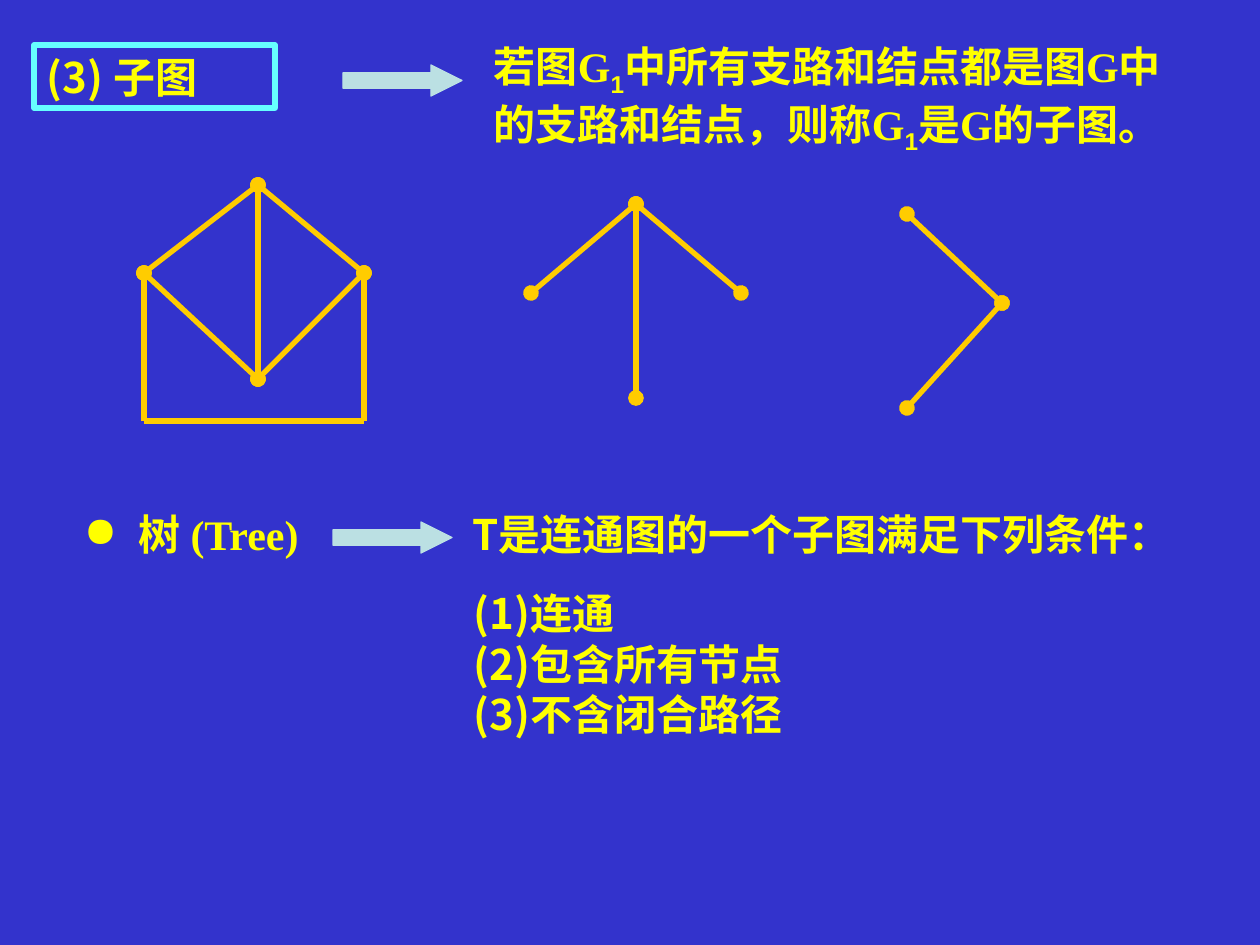
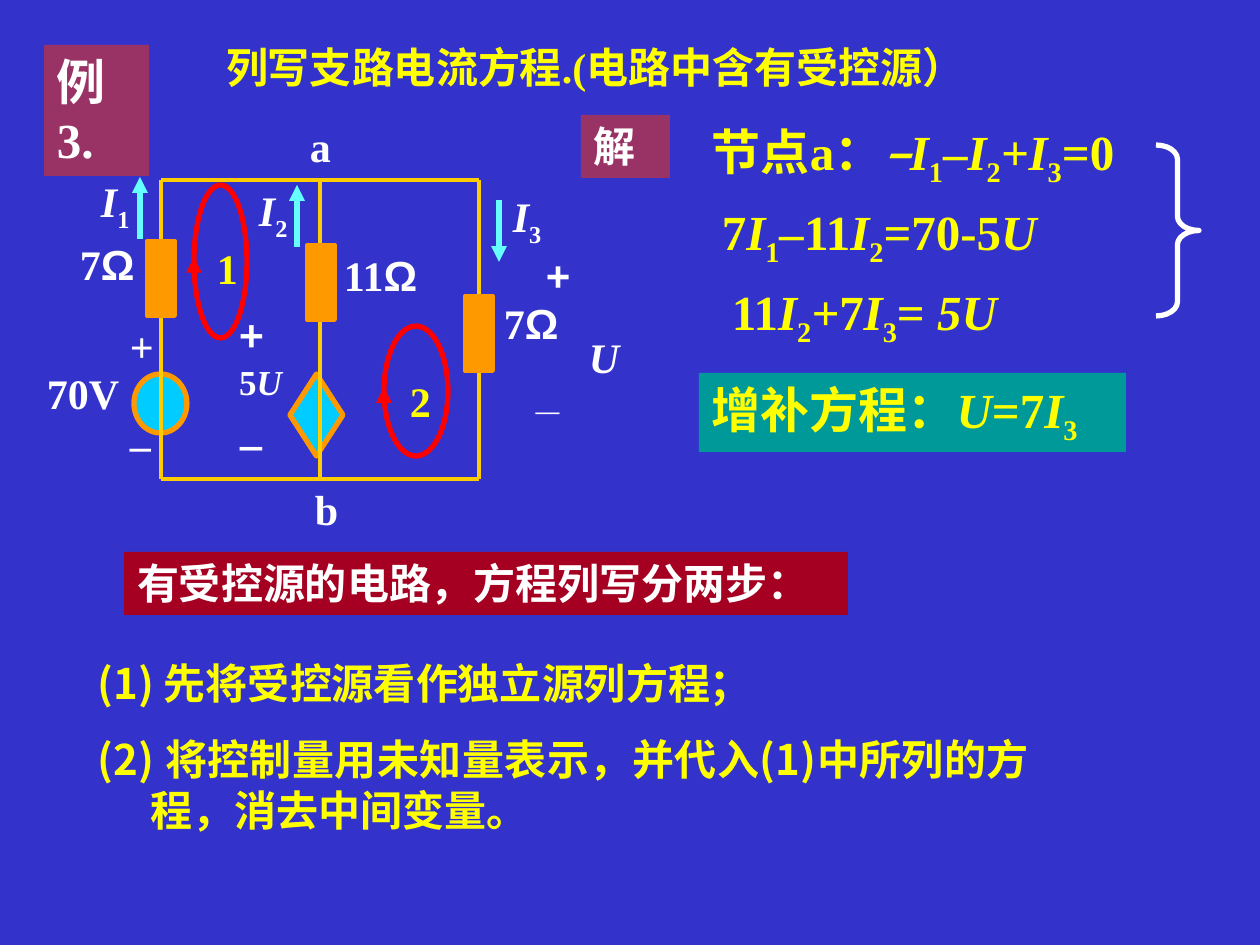
from itertools import groupby

from lxml.etree import SubElement
from pptx import Presentation
from pptx.dml.color import RGBColor
from pptx.enum.shapes import MSO_CONNECTOR, MSO_SHAPE as SHAPE
from pptx.enum.text import MSO_ANCHOR, MSO_AUTO_SIZE, PP_ALIGN as ALIGN
from pptx.oxml.ns import qn
from pptx.util import Emu, Pt

EMU_PER_PX = 914400 / 126
SLIDE_SIZE = (1260, 945)
MARGINS = (13, 6)

BLUE = RGBColor(0x33, 0x33, 0xCC)
YELLOW = RGBColor(0xFF, 0xFF, 0x00)
WHITE = RGBColor(0xFF, 0xFF, 0xFF)
GOLD = RGBColor(0xFF, 0xCC, 0x00)
ORANGE = RGBColor(0xFF, 0x99, 0x00)
CYAN = RGBColor(0x66, 0xFF, 0xFF)
SOURCE_CYAN = RGBColor(0x00, 0xCC, 0xFF)
PALE = RGBColor(0xBB, 0xE0, 0xE3)
PLUM = RGBColor(0x99, 0x33, 0x66)
TEAL = RGBColor(0x00, 0x99, 0x99)
CRIMSON = RGBColor(0xA5, 0x00, 0x21)
RED = RGBColor(0xFF, 0x00, 0x00)

TIMES, ARIAL, CJK = "Times New Roman", "Arial", "Noto Sans CJK SC"
SWITCHED_FONT = {TIMES: ARIAL, ARIAL: TIMES}


def px(value):
    return Emu(round(value * EMU_PER_PX))


def place(shape, box):
    shape.left, shape.top, shape.width, shape.height = map(px, box)


def styled_characters(text):
    """Read the markup: *italic*, ~switched font~ and _digit for a subscript."""
    italic = switched = subscript = False
    for character, following in zip(text, text[1:] + " "):
        if character == "*":
            italic = not italic
        elif character == "~":
            switched = not switched
        elif character == "_" and following.isdigit():
            subscript = True
        else:
            yield character, (italic, switched, subscript)
            subscript = False


def write_paragraph(paragraph, text, size=24, font=TIMES, color=YELLOW, align=ALIGN.LEFT,
                    bullet=None, hanging=0, space_before=0, line_spacing=1.0):
    properties = paragraph._p.get_or_add_pPr()
    if hanging:
        properties.set("marL", str(px(hanging)))
        properties.set("indent", str(-px(hanging)))
    if bullet:
        SubElement(properties, qn("a:buChar")).set("char", bullet)
    paragraph.alignment = align
    paragraph.space_before = Pt(space_before)
    paragraph.line_spacing = line_spacing
    for style, group in groupby(styled_characters(text), key=lambda item: item[1]):
        italic, switched, subscript = style
        run = paragraph.add_run()
        run.text = "".join(character for character, _ in group)
        run.font.size = Pt(size)
        run.font.bold = True
        run.font.italic = italic
        run.font.color.rgb = color
        run.font.name = SWITCHED_FONT[font] if switched else font
        run_properties = run._r.get_or_add_rPr()
        SubElement(run_properties, qn("a:ea")).set("typeface", CJK)
        if subscript:
            run_properties.set("baseline", "-25000")


def write_text(shape, *lines, **text_format):
    """Each line is a string, or a string with its own format on top of the shared one."""
    frame = shape.text_frame
    frame.word_wrap = True
    frame.auto_size = MSO_AUTO_SIZE.NONE
    frame.vertical_anchor = MSO_ANCHOR.TOP
    frame.margin_left = frame.margin_right = px(MARGINS[0])
    frame.margin_top = frame.margin_bottom = px(MARGINS[1])
    for index, line in enumerate(lines):
        text, own_format = (line, {}) if isinstance(line, str) else line
        paragraph = frame.add_paragraph() if index else frame.paragraphs[0]
        write_paragraph(paragraph, text, **{**text_format, **own_format})


def add_text(slide, box, *lines, **text_format):
    write_text(slide.shapes.add_textbox(*map(px, box)), *lines, **text_format)


def add_shape(slide, kind, box, fill=None, line=None, width=3):
    shape = slide.shapes.add_shape(kind, *map(px, box))
    shape.shadow.inherit = False
    if fill is None:
        shape.fill.background()
    else:
        shape.fill.solid()
        shape.fill.fore_color.rgb = fill
    if line is None:
        shape.line.fill.background()
    else:
        shape.line.color.rgb = line
        shape.line.width = Pt(width)
    return shape


def add_banner(slide, box, text, fill, **text_format):
    write_text(add_shape(slide, SHAPE.RECTANGLE, box, fill), text, **text_format)


def add_line(slide, start, end, color=GOLD, width=3, head=None, tail=None):
    connector = slide.shapes.add_connector(MSO_CONNECTOR.STRAIGHT, *map(px, start + end))
    connector.line.color.rgb = color
    connector.line.width = Pt(width)
    outline = connector.line._get_or_add_ln()
    for tag, ending in (("a:headEnd", head), ("a:tailEnd", tail)):
        if ending:
            SubElement(outline, qn(tag)).set("type", ending)
    SubElement(connector._element.spPr, qn("a:effectLst"))


def add_arrow(slide, start, end, color):
    add_line(slide, start, end, color, tail="triangle")


def add_block_arrow(slide, left, top):
    arrow = add_shape(slide, SHAPE.RIGHT_ARROW, (left, top, 119, 31), PALE, PALE, 0.75)
    arrow.adjustments[0], arrow.adjustments[1] = 0.5, 1


def add_graph(slide, edges, corners=()):
    """Draw edges with a dot at every end that is not a plain corner."""
    for edge in edges:
        head, tail = (None if point in corners else "oval" for point in edge)
        add_line(slide, *edge, head=head, tail=tail)


def add_loop(slide, box, number, number_box, arrow_top):
    left = box[0]
    add_shape(slide, SHAPE.OVAL, box, line=RED)
    add_text(slide, number_box, number)
    add_arrow(slide, (left, arrow_top + 8), (left, arrow_top), RED)


def add_slide(presentation, title, box):
    slide = presentation.slides.add_slide(presentation.slide_layouts[5])
    place(slide.shapes.title, box)
    write_text(slide.shapes.title, title)
    return slide


def build_subgraph_slide(presentation):
    slide = add_slide(presentation, "(3) 子图", (34, 45, 241, 63))
    title = slide.shapes.title
    title.line.color.rgb = CYAN
    title.line.width = Pt(3)
    for run in title.text_frame.paragraphs[0].runs:
        run.font.name = CJK

    top, left, right, bottom = (258, 185), (144, 273), (364, 273), (258, 379)
    corners = low_left, low_right = (144, 421), (364, 421)
    add_graph(slide, [(top, left), (top, bottom), (left, bottom), (top, right),
                      (right, bottom), (left, low_left), (low_left, low_right),
                      (right, low_right)], corners)
    hub = (636, 204)
    add_graph(slide, [(hub, leaf) for leaf in ((636, 398), (531, 293), (741, 293))])
    joint = (1002, 303)
    add_graph(slide, [((907, 214), joint), (joint, (907, 408))])

    add_block_arrow(slide, 343, 65)
    add_text(slide, (481, 35, 714, 178),
             "若图~G~_1中所有支路和结点都是图~G~中的支路和结点，则称~G~_1是~G~的子图。",
             font=ARIAL)
    add_text(slide, (71, 503, 270, 63), "树 (Tree)", bullet="●", hanging=55)
    add_block_arrow(slide, 333, 522)
    add_text(slide, (451, 503, 741, 63), "T是连通图的一个子图满足下列条件：",
             font=CJK, align=ALIGN.CENTER)
    add_text(slide, (461, 582, 596, 164), "(1)连通", "(2)包含所有节点", "(3)不含闭合路径",
             font=CJK)


def draw_circuit(slide):
    left, middle, right, top, bottom = 161, 320, 479, 180, 479
    add_shape(slide, SHAPE.DIAMOND, (290, 374, 53, 82), SOURCE_CYAN, ORANGE)
    add_shape(slide, SHAPE.OVAL, (134, 374, 53, 59), SOURCE_CYAN, ORANGE)
    add_loop(slide, (194, 185, 53, 153), "1", (204, 237, 37, 63), 257)
    add_loop(slide, (384, 326, 64, 130), "2", (397, 370, 44, 63), 387)

    for x in (left, middle, right):
        add_line(slide, (x, bottom), (x, top), width=2.25)
    for y in (top, bottom):
        add_line(slide, (left, y), (right, y), width=2.25)
    for x, y in ((left, 241), (middle + 1, 245), (right, 296)):
        add_shape(slide, SHAPE.RECTANGLE, (x - 14, y, 28, 75), ORANGE, ORANGE, 2.25)
    for x, start, end in ((140, 239, 177), (297, 247, 185), (499, 200, 262)):
        add_arrow(slide, (x, start), (x, end), CYAN)

    labels = [
        ("a", 297, 115, 46), ("b", 302, 478, 48),
        ("70V", 34, 362, 127), ("+", 117, 315, 50), ("–", 117, 413, 52),
        ("*I*_1", 88, 170, 66), ("*I*_2", 246, 179, 66), ("*I*_3", 500, 185, 87),
        ("7~Ω~", 67, 233, 87), ("11~Ω~", 331, 244, 127), ("7~Ω~", 491, 292, 87),
        ("~+~", 533, 244, 74), ("*U*", 576, 326, 74), ("~_~", 523, 362, 74),
    ]
    for text, x, y, width in labels:
        add_text(slide, (x, y, width, 63), text, color=WHITE)
    add_text(slide, (226, 304, 84, 156), "+", ("5*U*", {"size": 20, "font": TIMES}), "_",
             font=CJK, color=WHITE)


def build_example_slide(presentation):
    slide = add_slide(presentation, "列写支路电流方程.(电路中含有受控源）",
                      (213, 35, 843, 63))
    add_banner(slide, (44, 45, 105, 131), "例3.", PLUM, size=28, color=WHITE)
    add_banner(slide, (581, 115, 89, 63), "解", PLUM, color=WHITE)

    equations = [
        ("节点a：*–I*_1–*I*_2*+I*_3=0", 699, 115, 494),
        ("7*I*_1*–*11*I*_2=70-5*U*", 709, 195, 367),
        ("11*I*_2*+*7*I*_3=* 5U*", 719, 275, 427),
    ]
    for text, x, y, width in equations:
        add_text(slide, (x, y, width, 79), text, size=28)
    brace = add_shape(slide, SHAPE.RIGHT_BRACE, (1156, 145, 43, 171), line=WHITE)
    brace.adjustments[0] = 0.33
    add_banner(slide, (699, 373, 427, 79), "增补方程：*U*=7*I*_3", TEAL, size=28)

    draw_circuit(slide)

    add_banner(slide, (124, 552, 724, 63), "有受控源的电路，方程列写分两步：", CRIMSON,
               color=WHITE)
    add_text(slide, (85, 641, 957, 200),
             ("(1) 先将受控源看作独立源列方程；", {"line_spacing": 1.2}),
             ("(2) 将控制量用未知量表示，并代入(1)中所列的方程，消去中间变量。",
              {"space_before": 15}),
             font=CJK, align=ALIGN.JUSTIFY, hanging=53)


def main():
    presentation = Presentation()
    presentation.slide_width, presentation.slide_height = map(px, SLIDE_SIZE)
    background = presentation.slide_master.background.fill
    background.solid()
    background.fore_color.rgb = BLUE
    build_subgraph_slide(presentation)
    build_example_slide(presentation)
    presentation.save("out.pptx")


if __name__ == "__main__":
    main()
